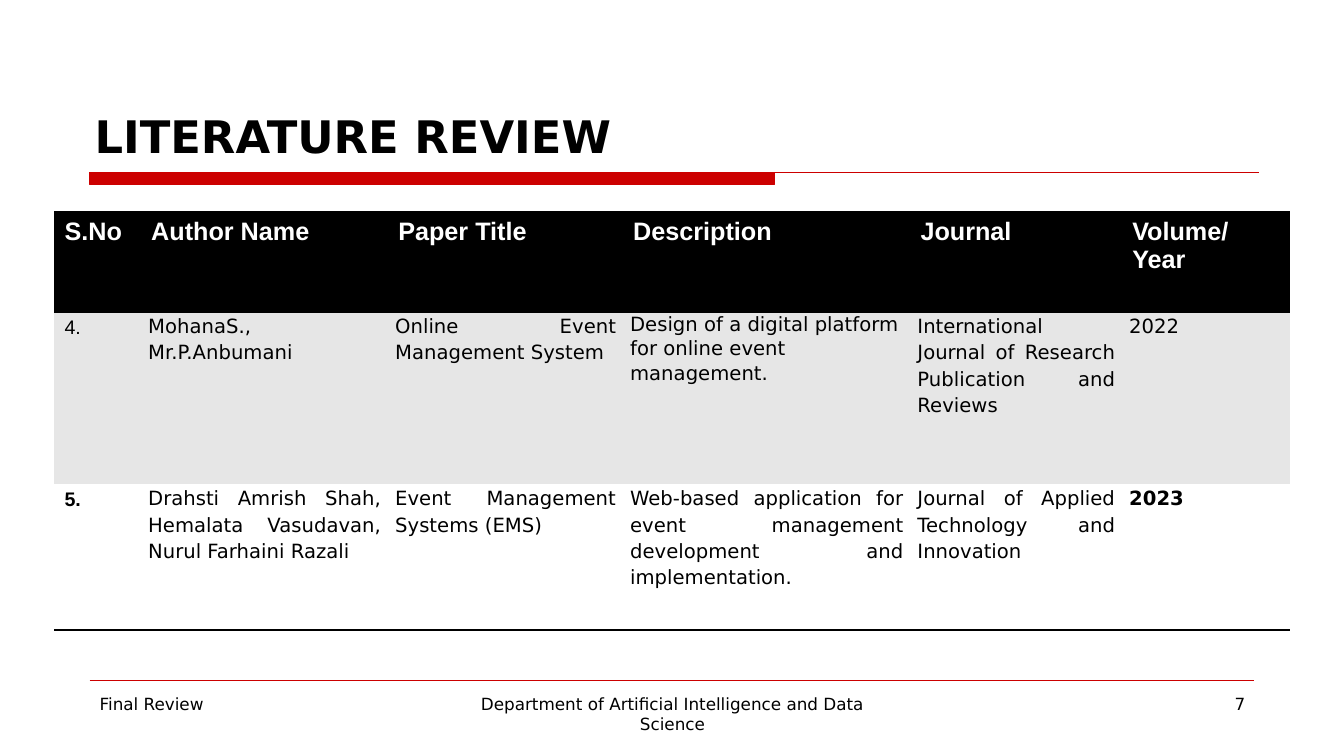
"""Build the literature review slide with its table of papers."""
from pptx import Presentation
from pptx.dml.color import RGBColor
from pptx.enum.shapes import MSO_CONNECTOR, MSO_SHAPE
from pptx.enum.text import MSO_ANCHOR, PP_ALIGN
from pptx.oxml import parse_xml
from pptx.oxml.ns import nsdecls, qn
from pptx.util import Inches, Pt

BLACK = RGBColor(0x00, 0x00, 0x00)
WHITE = RGBColor(0xFF, 0xFF, 0xFF)
RED = RGBColor(0xCC, 0x00, 0x00)
GREY = RGBColor(0xE6, 0xE6, 0xE6)
HEADING_FONT = "Arial"
BODY_FONT = "DejaVu Sans"
PLAIN_TABLE_STYLE = "{2D5ABB26-0587-4C30-8999-92F81FD0307C}"

TITLE = "LITERATURE REVIEW"
ROWS = [
    ["S.No", "Author Name", "Paper Title", "Description", "Journal", "Volume/\nYear"],
    ["4.", "MohanaS., Mr.P.Anbumani", "Online Event Management System",
     "Design of a digital platform for online event management.",
     "International Journal of Research Publication and Reviews", "2022"],
    ["5.", "Drahsti Amrish Shah, Hemalata Vasudavan, Nurul Farhaini Razali",
     "Event Management Systems (EMS)",
     "Web-based application for event management development and implementation.",
     "Journal of Applied Technology and Innovation", "2023"],
]
COLUMN_WIDTHS = [0.86, 2.45, 2.33, 2.85, 2.1, 1.66]
ROW_HEIGHTS = [0.98, 1.71, 1.45]
ROW_FILLS = [BLACK, GREY, WHITE]
BOLD_BODY_TEXTS = {"5.", "2023"}
LEFT_ALIGNED_CELL = (1, 3)
FOOTERS = [
    ("Final Review", 0.89, 2.89, PP_ALIGN.LEFT),
    ("Department of Artificial Intelligence and Data Science", 4.56, 4.22, PP_ALIGN.CENTER),
    ("7", 9.56, 2.89, PP_ALIGN.RIGHT),
]


def format_runs(paragraph, size, font_name, color, bold=False):
    for run in paragraph.runs:
        run.font.size = Pt(size)
        run.font.name = font_name
        run.font.color.rgb = color
        run.font.bold = bold


def add_text(slide, text, left, top, width, height, size,
             align=PP_ALIGN.LEFT, anchor=MSO_ANCHOR.TOP, bold=False):
    box = slide.shapes.add_textbox(Inches(left), Inches(top), Inches(width), Inches(height))
    frame = box.text_frame
    frame.word_wrap = True
    frame.vertical_anchor = anchor
    frame.text = text
    frame.paragraphs[0].alignment = align
    format_runs(frame.paragraphs[0], size, BODY_FONT, BLACK, bold)


def add_rule(slide, left, right, top):
    rule = slide.shapes.add_connector(
        MSO_CONNECTOR.STRAIGHT, Inches(left), Inches(top), Inches(right), Inches(top))
    rule.line.color.rgb = RED
    rule.line.width = Pt(0.75)
    rule._element.spPr.append(parse_xml(f"<a:effectLst {nsdecls('a')}/>"))


def add_title_bar(slide):
    bar = slide.shapes.add_shape(
        MSO_SHAPE.RECTANGLE, Inches(0.89), Inches(1.71), Inches(6.79), Inches(0.12))
    bar.shadow.inherit = False
    bar.fill.solid()
    bar.fill.fore_color.rgb = RED
    bar.line.color.rgb = RED
    bar.line.width = Pt(0.75)


def set_border(cell, side):
    cell._tc.get_or_add_tcPr().insert(0, parse_xml(
        f'<a:{side} {nsdecls("a")} w="{Pt(2)}"><a:solidFill>'
        f'<a:srgbClr val="{BLACK}"/></a:solidFill></a:{side}>'))


def fill_cell(cell, row, column):
    text = ROWS[row][column]
    cell.fill.solid()
    cell.fill.fore_color.rgb = ROW_FILLS[row]
    cell.text_frame.text = text
    heading = row == 0
    detail = not heading and column > 0
    cell.margin_left = cell.margin_right = Inches(0.07 if detail else 0.1)
    cell.margin_top = cell.margin_bottom = Inches(0 if detail else 0.05)
    for paragraph in cell.text_frame.paragraphs:
        if detail:
            left_aligned = (row, column) == LEFT_ALIGNED_CELL
            paragraph.alignment = PP_ALIGN.LEFT if left_aligned else PP_ALIGN.JUSTIFY
            paragraph.line_spacing = 1.07 if left_aligned else 1.15
            paragraph.space_after = Pt(8)
        format_runs(paragraph, 18 if heading else 14,
                    BODY_FONT if detail else HEADING_FONT,
                    WHITE if heading else BLACK,
                    heading or text in BOLD_BODY_TEXTS)
    if heading:
        set_border(cell, "lnB")
        set_border(cell, "lnT")
    elif row == len(ROWS) - 1:
        set_border(cell, "lnB")


def add_paper_table(slide):
    table = slide.shapes.add_table(
        len(ROWS), len(COLUMN_WIDTHS), Inches(0.54), Inches(2.11),
        Inches(sum(COLUMN_WIDTHS)), Inches(sum(ROW_HEIGHTS))).table
    table.horz_banding = False
    table._tbl.tblPr.find(qn("a:tableStyleId")).text = PLAIN_TABLE_STYLE
    for column, width in zip(table.columns, COLUMN_WIDTHS):
        column.width = Inches(width)
    for row, height in enumerate(ROW_HEIGHTS):
        table.rows[row].height = Inches(height)
        for column in range(len(COLUMN_WIDTHS)):
            fill_cell(table.cell(row, column), row, column)


def main():
    presentation = Presentation()
    presentation.slide_width = Inches(13.33)
    presentation.slide_height = Inches(7.5)
    slide = presentation.slides.add_slide(presentation.slide_layouts[6])
    add_title_bar(slide)
    add_rule(slide, 0.89, 12.49, 1.71)
    add_rule(slide, 0.89, 12.44, 6.75)
    add_paper_table(slide)
    for text, left, width, align in FOOTERS:
        add_text(slide, text, left, 6.83, width, 0.52, 12, align)
    add_text(slide, TITLE, 0.84, 0.33, 11.67, 1.33, 32, anchor=MSO_ANCHOR.BOTTOM, bold=True)
    presentation.save("out.pptx")


if __name__ == "__main__":
    main()
